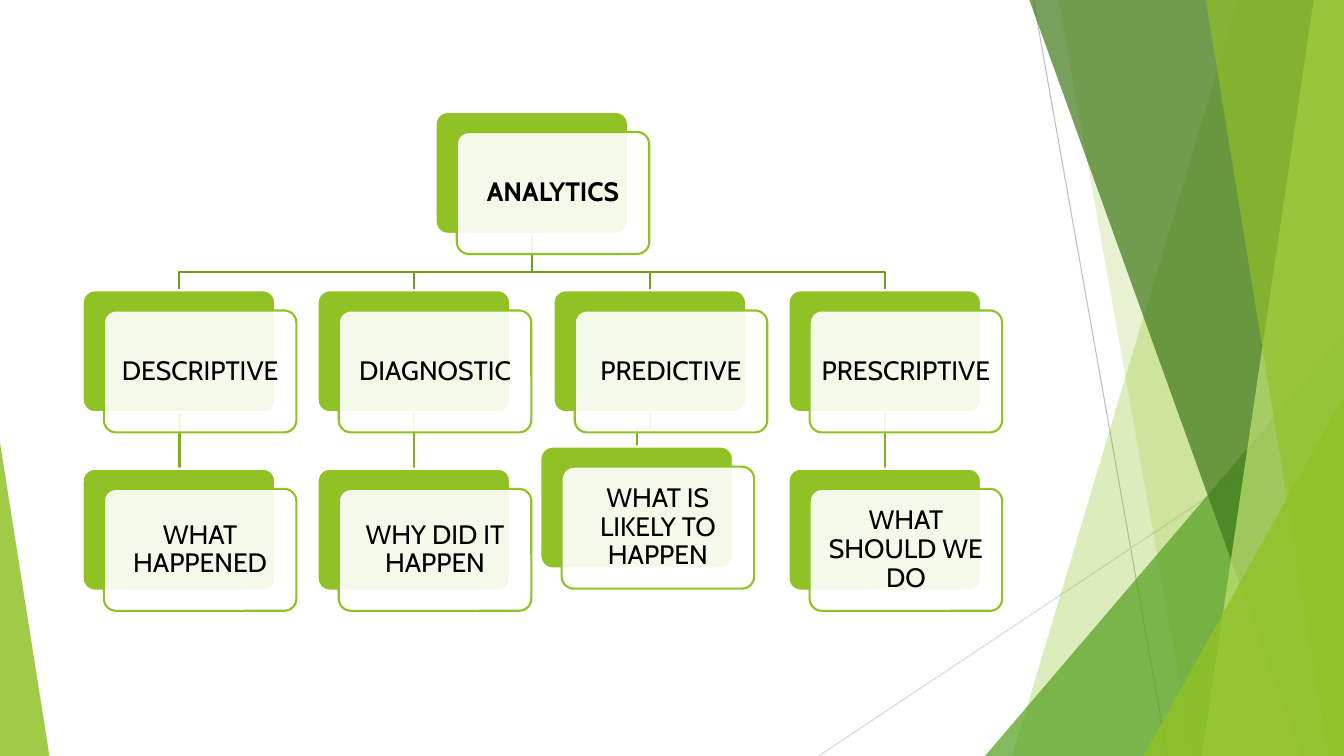
from lxml.etree import SubElement
from pptx import Presentation
from pptx.dml.color import RGBColor
from pptx.enum.shapes import MSO_CONNECTOR, MSO_SHAPE
from pptx.enum.text import MSO_ANCHOR, PP_ALIGN
from pptx.oxml.ns import qn
from pptx.util import Pt

PX = 9144  # 100 px to the inch
WIDTH, HEIGHT = 1333, 750

WHITE = RGBColor(0xFF, 0xFF, 0xFF)
BLACK = RGBColor(0x00, 0x00, 0x00)
LIME = RGBColor(0x90, 0xC2, 0x26)
PALE_LIME = RGBColor(0xC0, 0xE4, 0x74)
GREEN = RGBColor(0x54, 0xA0, 0x21)
DARK_GREEN = RGBColor(0x3F, 0x78, 0x19)
UPPER_LINK = RGBColor(0x73, 0x9B, 0x1E)
LOWER_LINK = RGBColor(0x83, 0xB0, 0x22)
GREY = RGBColor(0xBF, 0xBF, 0xBF)
LIGHT_GREY = RGBColor(0xD9, 0xD9, 0xD9)

CARD_WIDTH, CARD_HEIGHT = 191, 121
CARD_MIDDLE = 96
FRONT_RIGHT, FRONT_DOWN = 21, 20
FIRST_LEFT, LAST_LEFT = 82, 782
ROOT_LEFT, ROOT_TOP = 432, 111
TYPE_TOP, QUESTION_TOP = 288, 465

# type, question, shift of the question card (right, down)
BRANCHES = [
    ("DESCRIPTIVE", "WHAT HAPPENED", (0, 0)),
    ("DIAGNOSTIC", "WHY DID IT HAPPEN", (0, 0)),
    ("PREDICTIVE", "WHAT IS LIKELY TO HAPPEN", (-13, -22)),
    ("PRESCRIPTIVE", "WHAT SHOULD WE DO", (0, 0)),
]


class Painter:
    font = "Cabin"
    size = 19
    stroke = 1.5

    def __init__(self, page):
        self.page = page

    def finish(self, shape, fill=None, opacity=100, line=None):
        """Set fill, opacity in percent and outline; None means none."""
        shape.shadow.inherit = False
        if fill is None:
            shape.fill.background()
        else:
            shape.fill.solid()
            shape.fill.fore_color.rgb = fill
            if opacity < 100:
                color = shape.element.spPr.find(f"{qn('a:solidFill')}/{qn('a:srgbClr')}")
                SubElement(color, qn("a:alpha"), val=str(opacity * 1000))
        if line is None:
            shape.line.fill.background()
        else:
            shape.line.color.rgb = line
            shape.line.width = Pt(self.stroke)
        return shape

    def preset(self, kind, left, top, width, height, adjust, **look):
        shape = self.page.shapes.add_shape(
            kind, left * PX, top * PX, width * PX, height * PX)
        shape.adjustments[0] = adjust
        return self.finish(shape, **look)

    def outline(self, points, close=True, **look):
        builder = self.page.shapes.build_freeform(*points[0], scale=PX)
        builder.add_line_segments(points[1:], close=close)
        return self.finish(builder.convert_to_shape(), **look)

    def line(self, start, end, color, width):
        connector = self.page.shapes.add_connector(
            MSO_CONNECTOR.STRAIGHT, *(value * PX for value in (*start, *end)))
        connector.line.color.rgb = color
        connector.line.width = Pt(width)
        SubElement(connector._element.spPr, qn("a:effectLst"))

    def link(self, start, bend, end, color):
        """Join two cards, stepping sideways at the height bend."""
        if start[0] == end[0]:
            self.line(start, end, color, self.stroke)
        else:
            points = [start, (start[0], bend), (end[0], bend), end]
            self.outline(points, close=False, line=color)

    def label(self, shape, text, bold=False):
        frame = shape.text_frame
        frame.word_wrap = True
        frame.vertical_anchor = MSO_ANCHOR.MIDDLE
        frame.margin_left = frame.margin_right = 7 * PX
        frame.margin_top = frame.margin_bottom = 8 * PX
        para = frame.paragraphs[0]
        para.alignment = PP_ALIGN.CENTER
        para.line_spacing = 0.9
        span = para.add_run()
        span.text = text
        span.font.name = self.font
        span.font.size = Pt(self.size)
        span.font.bold = bold
        span.font.color.rgb = BLACK

    def card(self, left, top, text, bold=False):
        """Draw a green plate with a see-through labelled plate over it."""
        size = (CARD_WIDTH, CARD_HEIGHT, 0.1)
        self.preset(MSO_SHAPE.ROUNDED_RECTANGLE, left, top, *size,
                    fill=LIME, line=WHITE)
        front = self.preset(MSO_SHAPE.ROUNDED_RECTANGLE, left + FRONT_RIGHT,
                            top + FRONT_DOWN, *size,
                            fill=WHITE, opacity=90, line=LIME)
        self.label(front, text, bold)


def draw_backdrop(painter):
    def band(top_left, bottom_left, fill, opacity):
        """Fill from a slanted left edge to the right edge of the slide."""
        painter.outline([(top_left, 0), (WIDTH, 0), (WIDTH, HEIGHT),
                         (bottom_left, HEIGHT)], fill=fill, opacity=opacity)

    def corner(left, top, width, apex, fill, opacity):
        painter.preset(MSO_SHAPE.ISOSCELES_TRIANGLE, left, top, width,
                       HEIGHT - top, apex, fill=fill, opacity=opacity)

    painter.line((1025, 0), (1158, HEIGHT), GREY, 0.75)
    painter.line((WIDTH, 403), (812, HEIGHT), LIGHT_GREY, 0.75)
    band(1228, 1004, LIME, 30)
    band(1050, 1183, LIME, 20)
    corner(977, 333, 356, 1, GREEN, 72)
    band(1021, 1291, DARK_GREEN, 70)
    band(1303, 1192, PALE_LIME, 70)
    band(1196, 1318, LIME, 65)
    corner(1134, 393, 199, 1, LIME, 80)
    corner(0, 439, 49, 0, LIME, 85)


def draw_tree(painter):
    pitch = (LAST_LEFT - FIRST_LEFT) / (len(BRANCHES) - 1)
    columns = [round(FIRST_LEFT + pitch * i) for i in range(len(BRANCHES))]
    root_foot = (ROOT_LEFT + CARD_MIDDLE, ROOT_TOP + CARD_HEIGHT)

    for left, (_, _, (right, down)) in zip(columns, BRANCHES):
        middle = left + CARD_MIDDLE
        painter.link((middle, TYPE_TOP + CARD_HEIGHT), 425,
                     (middle + right, QUESTION_TOP + down), LOWER_LINK)
        painter.link(root_foot, 270, (middle, TYPE_TOP), UPPER_LINK)

    painter.card(ROOT_LEFT, ROOT_TOP, "ANALYTICS", bold=True)
    for left, (name, question, (right, down)) in zip(columns, BRANCHES):
        painter.card(left, TYPE_TOP, name)
        painter.card(left + right, QUESTION_TOP + down, question)


def main():
    deck = Presentation()
    deck.slide_width = WIDTH * PX
    deck.slide_height = HEIGHT * PX
    page = deck.slides.add_slide(deck.slide_layouts[6])
    painter = Painter(page)
    draw_backdrop(painter)
    draw_tree(painter)
    deck.save("out.pptx")


if __name__ == "__main__":
    main()
